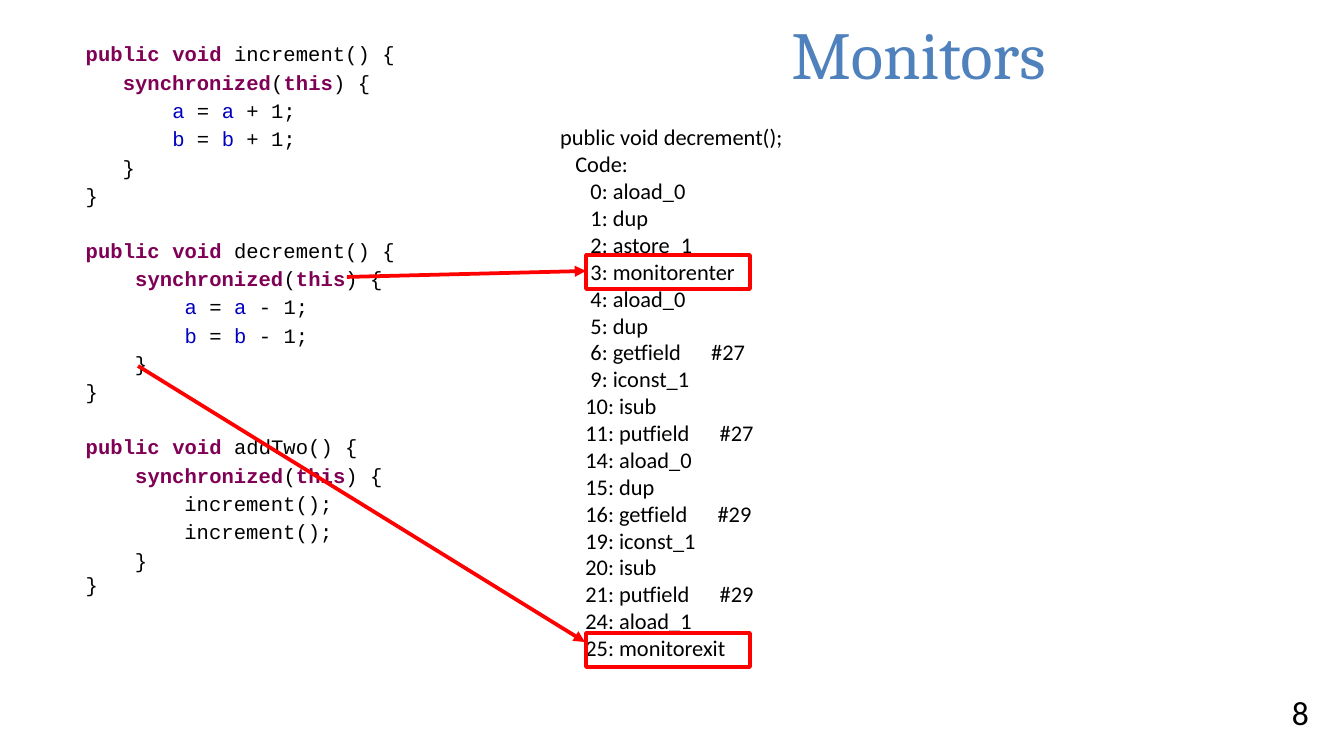
from itertools import groupby

from lxml import etree
from pptx import Presentation
from pptx import util as u
from pptx.dml.color import RGBColor
from pptx.enum import shapes, text
from pptx.oxml import ns

PX = 914400 / 134.4
BLACK, RED, BLUE = "000000", "FF0000", "4F81BD"
KEYWORD, FIELD = "7F0055", "0000C0"

TITLE = ("Monitors", (504, 8, 829, 90))
PAGE_NUMBER = ("8", (1232, 692, 90, 40))

SOURCE_BOX = (23, 31, 426, 582)
METHODS = [
    """\
    public void increment() {
       synchronized(this) {
           a = a + 1;
           b = b + 1;
       }
    }""",
    """\
    public void decrement() {
        synchronized(this) {
            a = a - 1;
            b = b - 1;
        }
    }""",
    """\
    public void addTwo() {
        synchronized(this) {
            increment();
            increment();
        }
    }""",
]
WORD_COLOURS = {
    **dict.fromkeys(("public", "void", "synchronized", "this"), KEYWORD),
    **dict.fromkeys(("a", "b"), FIELD),
}

BYTECODE_BOX = (547, 117, 421, 556)
BYTECODE = """\
public void decrement();
   Code:
      0: aload_0
      1: dup
      2: astore_1
      3: monitorenter
      4: aload_0
      5: dup
      6: getfield      #27
      9: iconst_1
     10: isub
     11: putfield      #27
     14: aload_0
     15: dup
     16: getfield      #29
     19: iconst_1
     20: isub
     21: putfield      #29
     24: aload_1
     25: monitorexit"""

ARROWS = [((347, 277), (586, 271)), ((138, 366), (585, 642))]
MARK_LEFT, MARK_WIDTH, MARK_HEIGHT = 586, 164, 34
MARK_TOPS = [255, 633]


def px(*lengths):
    return [u.Emu(round(n * PX)) for n in lengths]


def rgb(colour):
    return RGBColor.from_string(colour)


def style(font, colour, **values):
    font.color.rgb = rgb(colour)
    for name, value in values.items():
        setattr(font, name, value)


def add_text_box(slide, box, **frame_values):
    frame = slide.shapes.add_textbox(*px(*box)).text_frame
    for name, value in {"word_wrap": True, **frame_values}.items():
        setattr(frame, name, value)
    return frame


def paragraphs(frame, count):
    return [frame.paragraphs[0]] + [frame.add_paragraph() for _ in range(count - 1)]


def add_code_line(paragraph, line):
    """Split the line into words and the rest, and colour each word."""
    for _, letters in groupby(line, str.isalnum):
        run = paragraph.add_run()
        run.text = "".join(letters)
        colour = WORD_COLOURS.get(run.text, BLACK)
        style(run.font, colour, name="Courier New", size=u.Pt(11), bold=colour == KEYWORD)


def add_source(slide):
    frame = add_text_box(slide, SOURCE_BOX)
    lines = [
        (line, number == 0 and method > 0)
        for method, body in enumerate(METHODS)
        for number, line in enumerate(body.splitlines())
    ]
    for paragraph, (line, starts_method) in zip(paragraphs(frame, len(lines)), lines):
        paragraph.line_spacing = 1.15
        if starts_method:
            paragraph.space_before = u.Pt(14.3)
        add_code_line(paragraph, line)
    paragraph.line_spacing = 1.0


def add_bytecode(slide):
    frame = add_text_box(slide, BYTECODE_BOX)
    lines = BYTECODE.splitlines()
    for paragraph, line in zip(paragraphs(frame, len(lines)), lines):
        run = paragraph.add_run()
        run.text = line
        style(run.font, BLACK, name="Calibri", size=u.Pt(12))


def outline(line):
    line.color.rgb = rgb(RED)
    line.width = u.Pt(2)


def add_arrow(slide, start, end):
    arrow = slide.shapes.add_connector(shapes.MSO_CONNECTOR.STRAIGHT, *px(*start, *end))
    outline(arrow.line)
    etree.SubElement(arrow.line._get_or_add_ln(), ns.qn("a:tailEnd"), type="triangle")
    etree.SubElement(arrow._element.spPr, ns.qn("a:effectLst"))


def add_mark(slide, top):
    mark = slide.shapes.add_shape(
        shapes.MSO_SHAPE.RECTANGLE, *px(MARK_LEFT, top, MARK_WIDTH, MARK_HEIGHT)
    )
    mark.shadow.inherit = False
    mark.fill.background()
    outline(mark.line)


def add_title(slide):
    words, box = TITLE
    title = slide.shapes.title
    title.left, title.top, title.width, title.height = px(*box)
    title.text_frame.text = words
    title.text_frame.vertical_anchor = text.MSO_ANCHOR.MIDDLE
    paragraph = title.text_frame.paragraphs[0]
    paragraph.alignment = text.PP_ALIGN.CENTER
    style(paragraph.runs[0].font, BLUE, name="Cambria", size=u.Pt(36))


def add_page_number(slide):
    number, box = PAGE_NUMBER
    frame = add_text_box(slide, box, vertical_anchor=text.MSO_ANCHOR.MIDDLE)
    paragraph = frame.paragraphs[0]
    paragraph.alignment = text.PP_ALIGN.RIGHT
    run = paragraph.add_run()
    run.text = number
    style(run.font, BLACK, name="Calibri", size=u.Pt(18))


def main():
    deck = Presentation()
    deck.slide_width, deck.slide_height = px(1344, 756)
    slide = deck.slides.add_slide(deck.slide_layouts.get_by_name("Title Only"))
    add_title(slide)
    add_page_number(slide)
    add_source(slide)
    add_bytecode(slide)
    for start, end in ARROWS:
        add_arrow(slide, start, end)
    for top in MARK_TOPS:
        add_mark(slide, top)
    deck.save("out.pptx")


if __name__ == "__main__":
    main()
